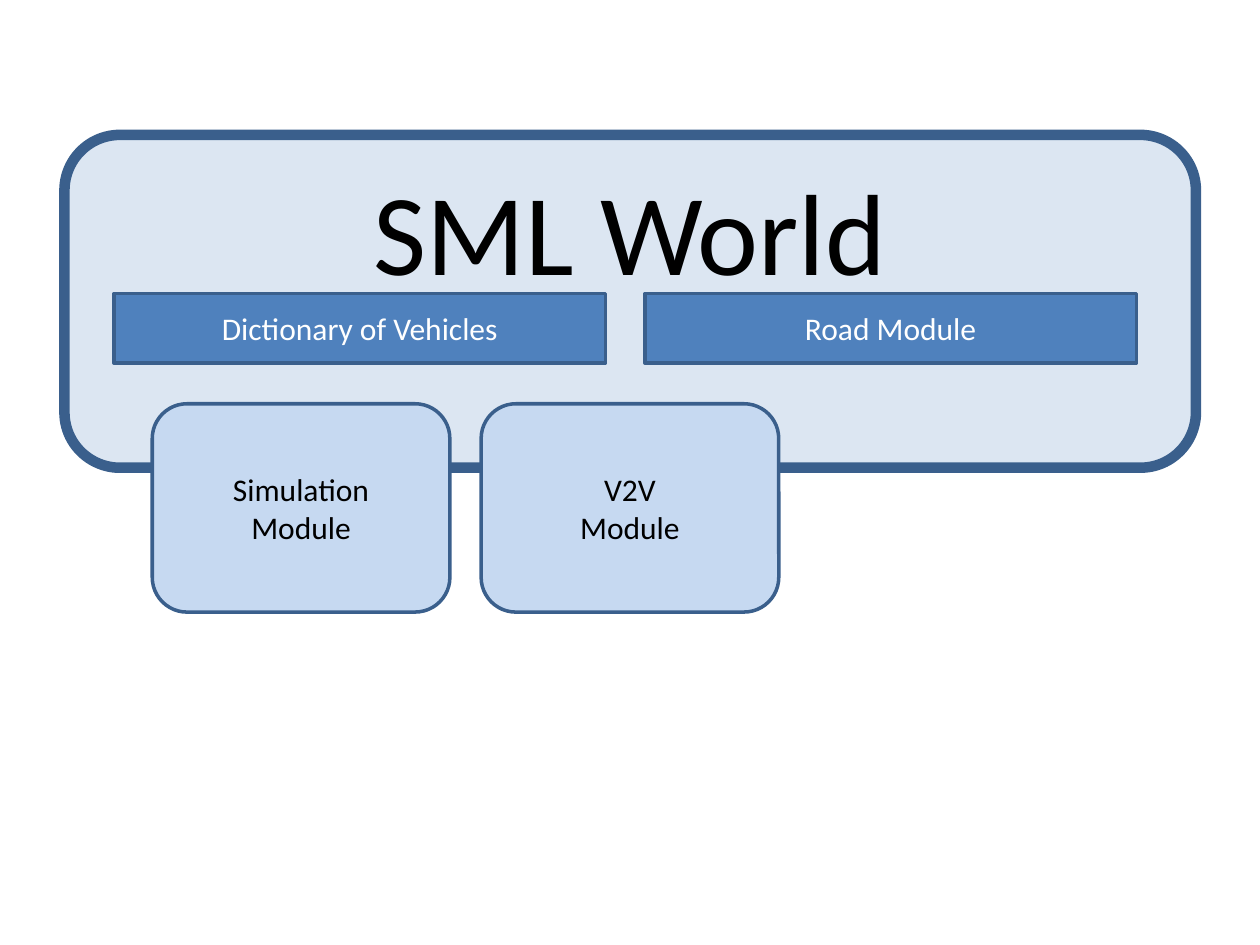
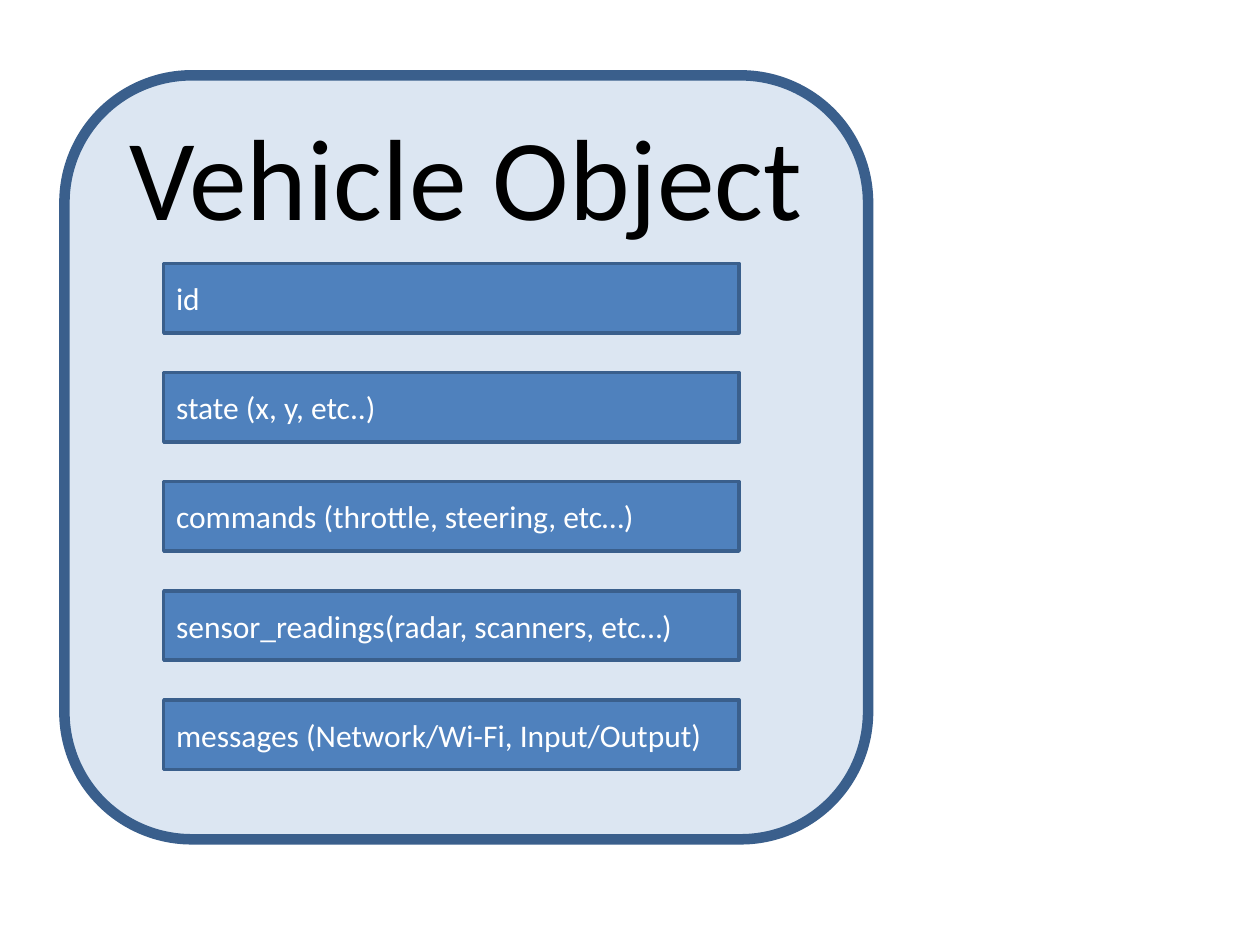
import pptx
import pptx.util
import pptx.dml.color
import pptx.enum.shapes
import pptx.enum.text

Cm = pptx.util.Cm
Pt = pptx.util.Pt
RGBColor = pptx.dml.color.RGBColor
SHAPE = pptx.enum.shapes.MSO_SHAPE
ANCHOR = pptx.enum.text.MSO_ANCHOR
ALIGN = pptx.enum.text.PP_ALIGN

# Shared style
FONT = "Calibri"
OUTLINE = RGBColor(0x3A, 0x5F, 0x8C)
PANEL_FILL = RGBColor(0xDC, 0xE6, 0xF2)
BAR_FILL = RGBColor(0x4F, 0x81, 0xBD)
MODULE_FILL = RGBColor(0xC6, 0xD9, 0xF1)
BLACK = RGBColor(0, 0, 0)
WHITE = RGBColor(0xFF, 0xFF, 0xFF)
PANEL_LEFT = 1.3
BAR_HEIGHT = 1.4

# Content
WORLD_TITLE = "SML World"
WORLD_BARS = ["Dictionary of Vehicles", "Road Module"]
WORLD_MODULES = ["Simulation\nModule", "V2V\nModule"]
VEHICLE_TITLE = "Vehicle Object"
VEHICLE_FIELDS = [
    "id",
    "state (x, y, etc..)",
    "commands (throttle, steering, etc…)",
    "sensor_readings(radar, scanners, etc…)",
    "messages (Network/Wi-Fi, Input/Output)",
]


def add_box(slide, kind, box, text, fill, color, size=18, line=2, align=ALIGN.CENTER):
    """Add an outlined box; box is left, top, width, height in cm."""
    shape = slide.shapes.add_shape(kind, *(Cm(length) for length in box))
    shape.shadow.inherit = False
    shape.fill.solid()
    shape.fill.fore_color.rgb = fill
    shape.line.color.rgb = OUTLINE
    shape.line.width = Pt(line)
    frame = shape.text_frame
    frame.word_wrap = True
    frame.vertical_anchor = ANCHOR.MIDDLE
    frame.text = text
    for paragraph in frame.paragraphs:
        paragraph.alignment = align
        for run in paragraph.runs:
            run.font.name = FONT
            run.font.size = Pt(size)
            run.font.color.rgb = color
    return shape


def add_panel(slide, top, width, height, title, title_inset):
    """Add the large rounded panel with its title near the top."""
    panel = add_box(slide, SHAPE.ROUNDED_RECTANGLE, (PANEL_LEFT, top, width, height),
                    title, PANEL_FILL, BLACK, size=66, line=6)
    panel.text_frame.vertical_anchor = ANCHOR.TOP
    panel.text_frame.margin_top = Cm(title_inset)


def add_bar(slide, left, top, width, text, align=ALIGN.CENTER):
    add_box(slide, SHAPE.RECTANGLE, (left, top, width, BAR_HEIGHT),
            text, BAR_FILL, WHITE, align=align)


presentation = pptx.Presentation()
presentation.slide_width = Cm(25.4)
presentation.slide_height = Cm(19.05)
blank = presentation.slide_layouts[6]

# Slide 1: world with two bars and two modules across its lower edge
slide = presentation.slides.add_slide(blank)
add_panel(slide, 2.72, 22.81, 6.71, WORLD_TITLE, 0.18)
for column, text in enumerate(WORLD_BARS):
    add_bar(slide, 2.3 + column * 10.7, 5.92, 9.91, text)
for column, text in enumerate(WORLD_MODULES):
    add_box(slide, SHAPE.ROUNDED_RECTANGLE, (3.07 + column * 6.63, 8.14, 6, 4.2),
            text, MODULE_FILL, BLACK)

# Slide 2: vehicle with a stack of fields
slide = presentation.slides.add_slide(blank)
add_panel(slide, 1.52, 16.2, 15.4, VEHICLE_TITLE, -0.16)
for row, text in enumerate(VEHICLE_FIELDS):
    add_bar(slide, 3.3, 5.31 + row * 2.2, 11.6, text, ALIGN.LEFT)

presentation.save("out.pptx")
